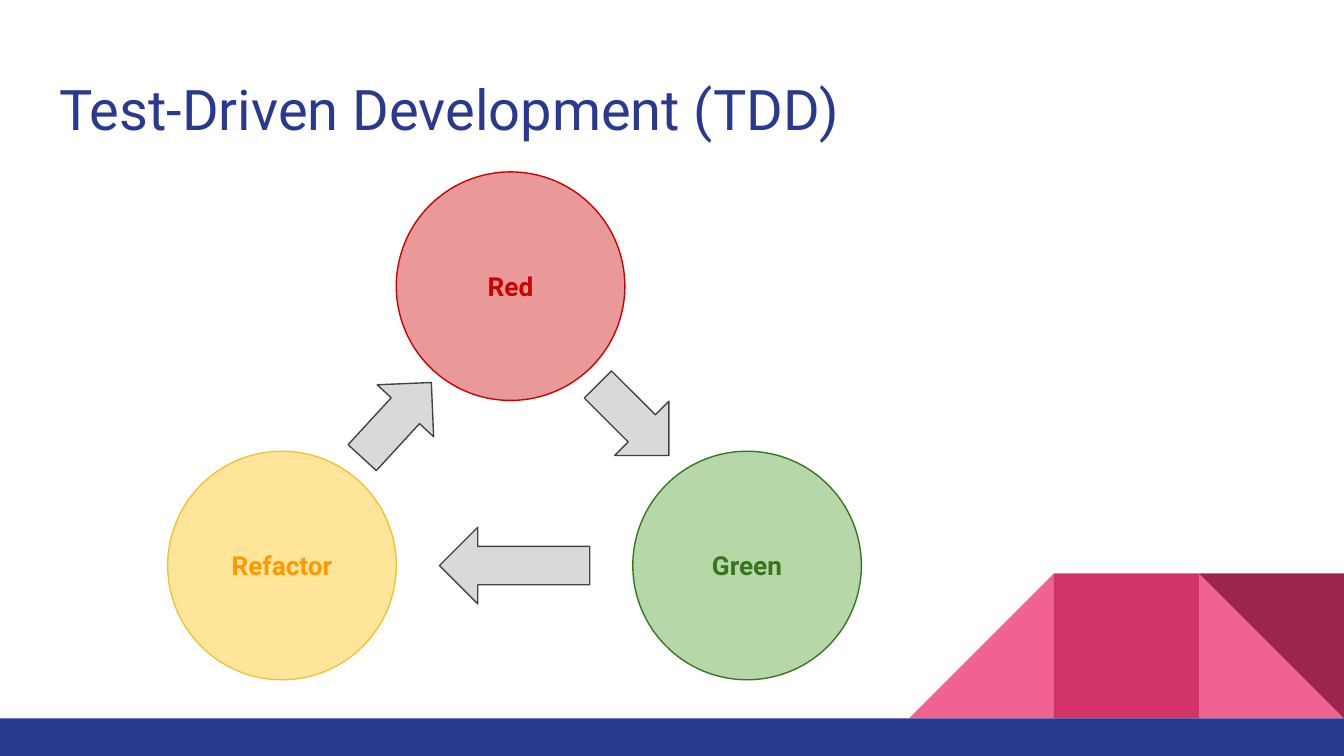
from pptx import Presentation
from pptx.dml.color import RGBColor
from pptx.enum.shapes import MSO_SHAPE
from pptx.enum.text import MSO_ANCHOR, MSO_AUTO_SIZE, PP_ALIGN
from pptx.util import Cm, Pt

FONT = "Roboto"
INSET = 0.25
COLORS = {
    "navy": "2A3990",
    "pink": "F06292",
    "rose": "D23369",
    "wine": "9C254D",
    "red": "CC0000",
    "red fill": "EA9999",
    "green": "38761D",
    "green fill": "B6D7A8",
    "gold": "F1C232",
    "gold fill": "FFE599",
    "orange": "FF9900",
    "gray": "D9D9D9",
    "dark": "434343",
}


def color(name):
    return RGBColor.from_string(COLORS[name])


def write(shape, text, size=14, ink="dark", bold=False,
          align=PP_ALIGN.CENTER, anchor=MSO_ANCHOR.MIDDLE):
    frame = shape.text_frame
    frame.word_wrap = True
    frame.auto_size = MSO_AUTO_SIZE.NONE
    frame.vertical_anchor = anchor
    frame.margin_left = frame.margin_right = Cm(INSET)
    frame.margin_top = frame.margin_bottom = Cm(INSET)
    frame.text = text
    para = frame.paragraphs[0]
    para.alignment = align
    font = para.runs[0].font
    font.name, font.size, font.bold = FONT, Pt(size), bold
    font.color.rgb = color(ink)


def draw(slide, kind, left, top, width, height, fill, line=None, turn=0):
    shape = slide.shapes.add_shape(
        kind, Cm(left), Cm(top), Cm(width), Cm(height))
    shape.shadow.inherit = False
    shape.fill.solid()
    shape.fill.fore_color.rgb = color(fill)
    if line:
        shape.line.color.rgb = color(line)
        shape.line.width = Pt(0.75)
    else:
        shape.line.fill.background()
    shape.rotation = turn
    return shape


def decor(slide, left, top, width, height):
    """Fill the box's lower right corner with tiles above a full-width band."""
    tile, band = 2.74, 0.71
    base = top + height - band
    tiles = [  # column from the right, kind, fill, turn
        (1, MSO_SHAPE.RIGHT_TRIANGLE, "pink", 0),
        (3, MSO_SHAPE.RIGHT_TRIANGLE, "pink", 270),
        (2, MSO_SHAPE.RECTANGLE, "rose", 0),
        (1, MSO_SHAPE.RIGHT_TRIANGLE, "wine", 180),
    ]
    for col, kind, fill, turn in tiles:
        draw(slide, kind, left + width - col * tile, base - tile,
             tile, tile, fill, turn=turn)
    draw(slide, MSO_SHAPE.RECTANGLE, left, base, width, band, "navy")


def heading(slide, left, top, width, height):
    title = slide.shapes.title
    title.left, title.top = Cm(left), Cm(top)
    title.width, title.height = Cm(width), Cm(height)
    write(title, "Test-Driven Development (TDD)", size=30, ink="navy",
          align=PP_ALIGN.LEFT, anchor=MSO_ANCHOR.TOP)


def cycle(slide, left, top, width, height):
    """Place three stages in a triangle, with arrows running clockwise."""
    size, thick = 4.32, 1.45
    right, low = width - size, height - size

    # Stages
    stages = [
        ("Red", size, 0, "red fill", "red", "red"),
        ("Green", right, low, "green fill", "green", "green"),
        ("Refactor", 0, low, "gold fill", "gold", "orange"),
    ]
    for text, x, y, fill, line, ink in stages:
        disc = draw(slide, MSO_SHAPE.OVAL, left + x, top + y,
                    size, size, fill, line)
        write(disc, text, ink=ink, bold=True)

    # Arrows: centre, length and turn
    arrows = [
        (8.8, 4.69, 1.9, 45),
        (width / 2, low + size / 2, 2.84, 180),
        (4.33, 4.69, 1.93, 312.6),
    ]
    for x, y, length, turn in arrows:
        draw(slide, MSO_SHAPE.RIGHT_ARROW, left + x - length / 2,
             top + y - thick / 2, length, thick, "gray", "dark", turn)


def main():
    deck = Presentation()
    wide, high = 25.4, 14.29
    deck.slide_width, deck.slide_height = Cm(wide), Cm(high)
    slide = deck.slides.add_slide(deck.slide_layouts[5])
    slide.background.fill.solid()
    slide.background.fill.fore_color.rgb = RGBColor.from_string("FFFFFF")

    decor(slide, 0, 0, wide, high)
    heading(slide, 0.87, 1.15, 23.67, 1.68)
    cycle(slide, 3.17, 3.25, 13.11, 9.6)
    deck.save("out.pptx")


if __name__ == "__main__":
    main()
